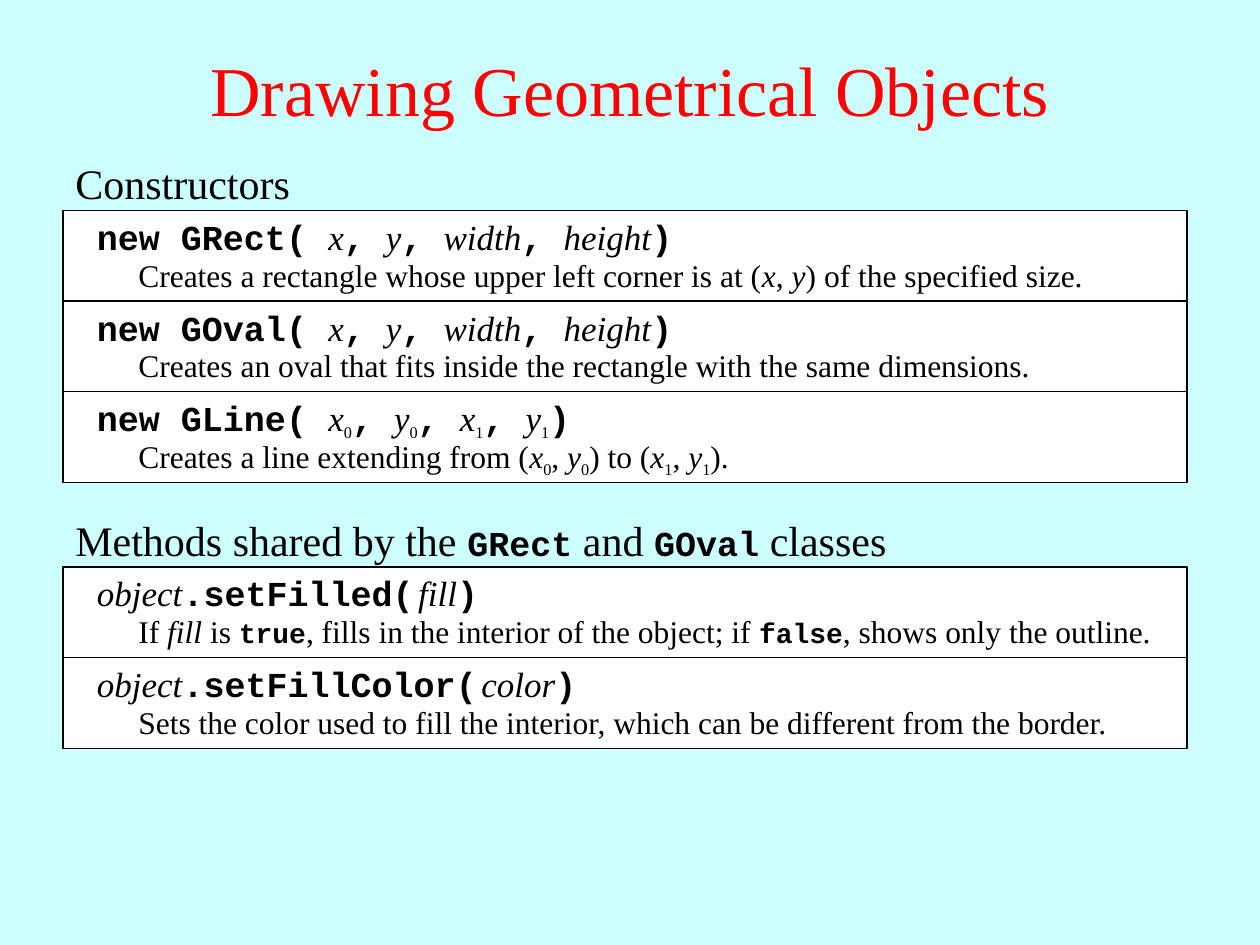
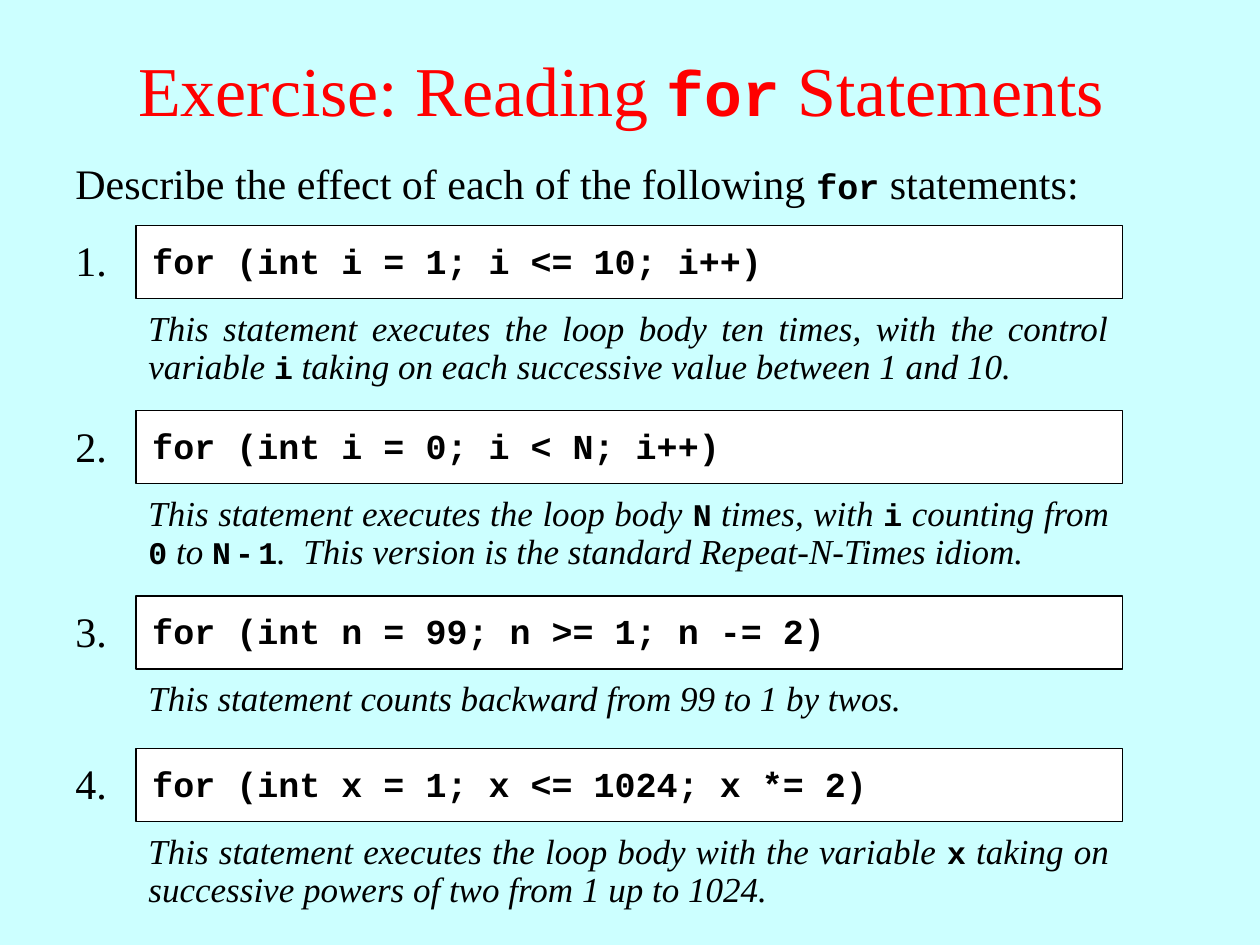
import pptx
import pptx.util
import pptx.dml.color
import pptx.enum.shapes
import pptx.enum.text

Inches = pptx.util.Inches
Pt = pptx.util.Pt
ALIGN = pptx.enum.text.PP_ALIGN

COLORS = {"background": "CCFFFF", "title": "FF0000", "text": "000000",
          "panel": "FFFFFF", "border": "000000"}
SERIF = "Times New Roman"
MONO = "Courier New"

LEFT = 0.5          # left edge of headings, method panels and item numbers
ROW_HEIGHT = 0.72   # one method panel
CODE_HEIGHT = 0.58  # one statement panel


# Styled pieces of a line; a bare string is plain text
def code(text):
    return "code", text


def var(text):
    return "var", text


def sub(text):
    return "sub", text


THIN = ("thin", " ")
COMMA = code(", ")
X, Y = var("x"), var("y")
X0, Y0 = (X, sub("0")), (Y, sub("0"))
X1, Y1 = (X, sub("1")), (Y, sub("1"))


def rgb(name):
    return pptx.dml.color.RGBColor.from_string(COLORS[name])


# Shared building parts
def add_runs(p, pieces, size, code_size, color="text", italic=False):
    for piece in pieces:
        style, text = ("plain", piece) if isinstance(piece, str) else piece
        mono = style in ("code", "thin")
        r = p.add_run()
        r.text = text
        r.font.name = MONO if mono else SERIF
        r.font.size = Pt({"code": code_size, "sub": 16, "thin": 4}.get(style, size))
        r.font.bold = mono
        r.font.italic = style == "var" or (italic and style == "plain")
        r.font.color.rgb = rgb(color)
        if style == "sub":
            r.font._element.set("baseline", "-25000")


def add_line(s, box, pieces, size, code_size, justify=False, italic=False):
    sp = s.shapes.add_textbox(*(Inches(v) for v in box))
    tf = sp.text_frame
    tf.word_wrap = True
    tf.auto_size = pptx.enum.text.MSO_AUTO_SIZE.SHAPE_TO_FIT_TEXT
    p = tf.paragraphs[0]
    if justify:
        p.alignment = ALIGN.JUSTIFY
        p.line_spacing = 0.9
    add_runs(p, pieces, size, code_size, italic=italic)


def add_heading(s, top, pieces, width=9):
    add_line(s, (LEFT, top, width, 0.46), pieces, 24, 20, justify=True)


def add_panel(s, left, top, width, height):
    sp = s.shapes.add_shape(pptx.enum.shapes.MSO_SHAPE.RECTANGLE, Inches(left),
                            Inches(top), Inches(width), Inches(height))
    sp.shadow.inherit = False
    sp.fill.solid()
    sp.fill.fore_color.rgb = rgb("panel")
    sp.line.color.rgb = rgb("border")
    sp.line.width = Pt(0.75)


def add_titled_slide(prs, title):
    s = prs.slides.add_slide(prs.slide_layouts[6])
    s.background.fill.solid()
    s.background.fill.fore_color.rgb = rgb("background")
    sp = s.shapes.add_textbox(0, Inches(0.08), prs.slide_width, Inches(1.25))
    tf = sp.text_frame
    tf.word_wrap = True
    tf.vertical_anchor = pptx.enum.text.MSO_ANCHOR.MIDDLE
    p = tf.paragraphs[0]
    p.alignment = ALIGN.CENTER
    add_runs(p, title, 40, 36, color="title")
    return s


# Heading with a stack of method panels below it
def add_method_list(s, top, heading, methods):
    add_heading(s, top, heading)
    for i, (signature, description) in enumerate(methods):
        row = top + 0.42 + i * ROW_HEIGHT
        add_panel(s, LEFT, row, 8.92, ROW_HEIGHT)
        add_line(s, (LEFT + 0.17, row - 0.01, 8.58, 0.44), signature, 20, 20)
        add_line(s, (LEFT + 0.5, row + 0.31, 8.33, 0.4), description, 18, 16)


# Numbered statement with its answer
def add_exercise(s, top, number, statement, answer, answer_height):
    left = LEFT + 0.58
    add_line(s, (left, top + 0.63, 7.82, answer_height), answer, 20, 18,
             justify=True, italic=True)
    add_panel(s, left, top, 7.83, CODE_HEIGHT)
    add_line(s, (left + 0.03, top + 0.06, 7.72, 0.44), [code(statement)], 20, 20)
    add_heading(s, top + 0.07, [f"{number}."], width=0.5)


def build_geometry_slide(prs):
    s = add_titled_slide(prs, ["Drawing Geometrical Objects"])
    corner_and_size = [X, COMMA, Y, COMMA, var("width"), COMMA, var("height"), code(")")]
    add_method_list(s, 1.25, ["Constructors"], [
        ([code("new GRect( "), *corner_and_size],
         ["Creates a rectangle whose upper left corner is at (", X, ", ", Y,
          ") of the specified size."]),
        ([code("new GOval( "), *corner_and_size],
         ["Creates an oval that fits inside the rectangle with the same dimensions."]),
        ([code("new GLine( "), *X0, COMMA, *Y0, COMMA, *X1, COMMA, *Y1, code(")")],
         ["Creates a line extending from (", *X0, ", ", *Y0, ") to (",
          *X1, ", ", *Y1, ")."]),
    ])
    add_method_list(s, 4.08, ["Methods shared by the ", code("GRect"), " and ",
                              code("GOval"), " classes"], [
        ([var("object"), code(".setFilled("), THIN, var("fill"), code(")")],
         ["If ", var("fill"), " is ", code("true"),
          ", fills in the interior of the object; if ", code("false"),
          ", shows only the outline."]),
        ([var("object"), code(".setFillColor("), THIN, var("color"), code(")")],
         ["Sets the color used to fill the interior, which can be different "
          "from the border."]),
    ])


def build_exercise_slide(prs):
    s = add_titled_slide(prs, ["Exercise: Reading ", code("for"), " Statements "])
    add_heading(s, 1.25, ["Describe the effect of each of the following ",
                          code("for"), " statements:"])
    one_line, two_lines = 0.44, 0.7
    exercises = [
        ("for (int i = 1; i <= 10; i++)",
         ["This statement executes the loop body ten times, with the control variable ",
          code("i"), " taking on each successive value between 1 and 10."], two_lines),
        ("for (int i = 0; i < N; i++)",
         ["This statement executes the loop body ", code("N"), " times, with ",
          code("i"), " counting from ", code("0"), " to ", code("N"), THIN,
          code("-"), THIN, code("1"),
          ".  This version is the standard Repeat-N-Times idiom."], two_lines),
        ("for (int n = 99; n >= 1; n -= 2)",
         ["This statement counts backward from 99 to 1 by twos."], one_line),
        ("for (int x = 1; x <= 1024; x *= 2)",
         ["This statement executes the loop body with the variable ", code("x"),
          " taking on successive powers of two from 1 up to 1024."], two_lines),
    ]
    top = 1.79
    for number, (statement, answer, height) in enumerate(exercises, 1):
        add_exercise(s, top, number, statement, answer, height)
        top += 0.77 + height


def main():
    prs = pptx.Presentation()
    prs.slide_width, prs.slide_height = Inches(10), Inches(7.5)
    build_geometry_slide(prs)
    build_exercise_slide(prs)
    prs.save("out.pptx")


if __name__ == "__main__":
    main()
